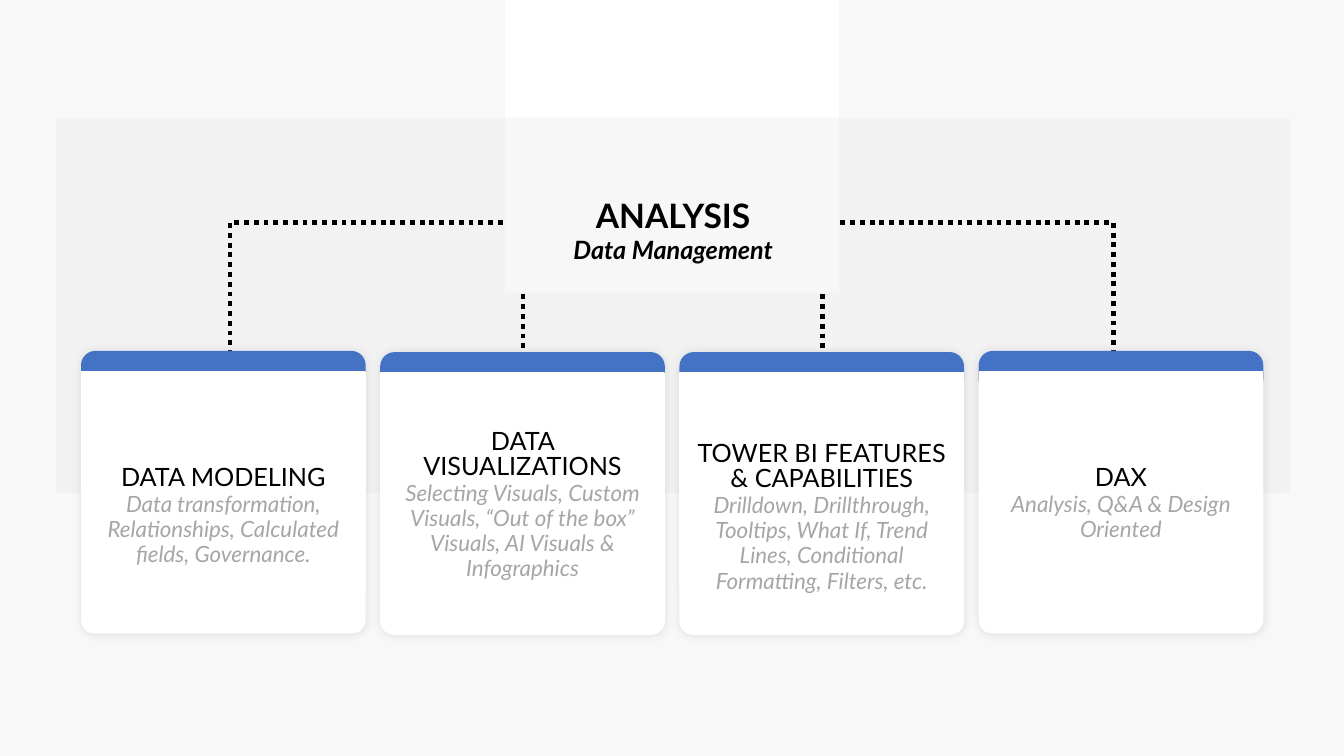
"""Builds the Analysis slide: a header panel linked to four topic cards."""
from lxml import etree
from pptx import Presentation, util as u
from pptx.dml.color import RGBColor
from pptx.enum import dml, shapes, text
from pptx.oxml.ns import qn

HEADER = [("ANALYSIS", 24, False), ("Data Management", 18, True)]
CARDS = [
    ("DATA MODELING", "Data transformation, Relationships, Calculated fields, Governance.", 8.86, 2.39),
    ("DATA VISUALIZATIONS",
     "Selecting Visuals, Custom Visuals, “Out of the box” Visuals, AI Visuals & Infographics", 8.89, 1.44),
    ("TOWER BI FEATURES & CAPABILITIES",
     "Drilldown, Drillthrough, Tooltips, What If, Trend Lines, Conditional Formatting, Filters, etc.", 8.89, 1.75),
    ("DAX", "Analysis, Q&A & Design Oriented", 8.86, 2.39),
]
LINKS = [
    (shapes.MSO_CONNECTOR.ELBOW, 12.67, 5.61, 3.15, 9.53),
    (shapes.MSO_CONNECTOR.ELBOW, 21.18, 5.61, 30.71, 9.53),
    (shapes.MSO_CONNECTOR.STRAIGHT, 13.18, 7.42, 13.18, 9.42),
    (shapes.MSO_CONNECTOR.STRAIGHT, 20.73, 7.42, 20.73, 9.42),
]
COLORS = {"page": "F9F8F8", "white": "FFFFFF", "panel": "EAEAEA", "black": "000000",
          "accent": "4472C4", "muted": "A6A6A6"}
FONT = "Lato"
CARD_LEFT, CARD_PITCH, CARD_WIDTH, CARD_HEIGHT = 2.06, 7.54, 7.14, 7.09
BAR_HEIGHT, BODY_DROP, BODY_HEIGHT = 1.04, 0.51, 5.41
RECT, ROUND = shapes.MSO_SHAPE.RECTANGLE, shapes.MSO_SHAPE.ROUNDED_RECTANGLE


def rgb(name):
    return RGBColor.from_string(COLORS[name])


def add_box(parent, kind, area, color, outlined=False):
    box = parent.shapes.add_shape(kind, *map(u.Cm, area))
    box.shadow.inherit = False
    box.fill.solid()
    box.fill.fore_color.rgb = rgb(color)
    if outlined:
        box.line.color.rgb = rgb(color)
        box.line.width = u.Pt(1)
    else:
        box.line.fill.background()
    return box


def add_alpha(color_element, percent):
    etree.SubElement(color_element, qn("a:alpha"), val=str(percent * 1000))


def soften(box):
    effects = box._element.spPr.find(qn("a:effectLst"))
    shadow = etree.SubElement(effects, qn("a:outerShdw"), blurRad=str(u.Pt(7)),
                              dist="0", dir="0", algn="ctr", rotWithShape="0")
    add_alpha(etree.SubElement(shadow, qn("a:srgbClr"), val=COLORS["black"]), 10)


def write(box, lines, top, spacing=None):
    """Fill a box with (words, size, color, bold, italic) lines."""
    frame = box.text_frame
    frame.word_wrap = True
    frame.vertical_anchor = text.MSO_ANCHOR.TOP
    frame.margin_top = u.Cm(top)
    frame.text = "\n".join(line[0] for line in lines)
    for para, (_, size, color, bold, italic) in zip(frame.paragraphs, lines):
        para.alignment = text.PP_ALIGN.CENTER
        para.line_spacing = spacing
        font = para.runs[0].font
        font.name, font.size = FONT, u.Pt(size)
        font.bold, font.italic = bold, italic
        font.color.rgb = rgb(color)


def add_link(page, kind, *ends):
    link = page.shapes.add_connector(kind, *map(u.Cm, ends))
    link.line.color.rgb = rgb("black")
    link.line.width = u.Pt(3.5)
    link.line.dash_style = dml.MSO_LINE.ROUND_DOT
    properties = link._element.spPr
    etree.SubElement(properties, qn("a:effectLst"))
    if kind == shapes.MSO_CONNECTOR.ELBOW:
        guides = properties.find(qn("a:prstGeom")).get_or_add_avLst()
        etree.SubElement(guides, qn("a:gd"), name="adj1", fmla="val 72200")


def add_card(page, index, title, detail, top, text_top):
    group = page.shapes.add_group_shape()
    left = CARD_LEFT + index * CARD_PITCH
    base = add_box(group, ROUND, (left, top, CARD_WIDTH, CARD_HEIGHT), "white", True)
    base.adjustments[0] = 0.047
    soften(base)
    bar = add_box(group, ROUND, (left, top, CARD_WIDTH, BAR_HEIGHT), "accent", True)
    bar.adjustments[0] = 0.328
    body = add_box(group, RECT, (left, top + BODY_DROP, CARD_WIDTH, BODY_HEIGHT), "white", True)
    write(body, [(title, 18, "black", False, False), (detail, 16, "muted", False, True)],
          text_top, u.Pt(18))


def main():
    deck = Presentation()
    deck.slide_width, deck.slide_height = u.Cm(33.87), u.Cm(19.05)
    page = deck.slides.add_slide(deck.slide_layouts[6])
    page.background.fill.solid()
    page.background.fill.fore_color.rgb = rgb("page")

    add_box(page, RECT, (12.73, 0, 8.41, 7.37), "white")
    panel = add_box(page, RECT, (1.42, 2.97, 31.09, 9.45), "panel")
    add_alpha(panel._element.spPr.find(qn("a:solidFill"))[0], 36)
    write(panel, [(words, size, "black", True, italic) for words, size, italic in HEADER], 1.93)

    for link in LINKS:
        add_link(page, *link)
    for index, card in enumerate(CARDS):
        add_card(page, index, *card)
    deck.save("out.pptx")


if __name__ == "__main__":
    main()
